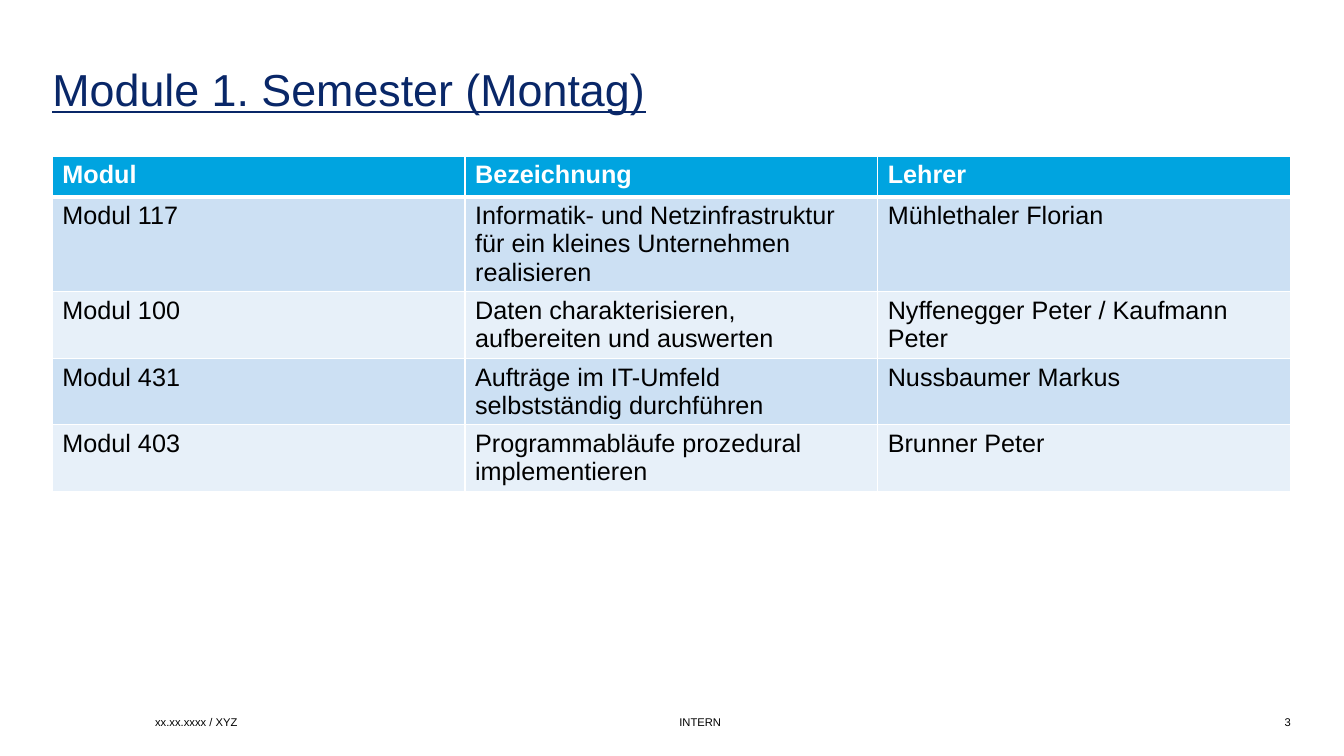
from dataclasses import dataclass

from lxml.etree import SubElement
from pptx import Presentation
from pptx.dml.color import RGBColor as Color
from pptx.enum.text import MSO_ANCHOR as Anchor, MSO_AUTO_SIZE as AutoSize, PP_ALIGN as Align
from pptx.oxml.ns import qn
from pptx.util import Cm, Pt

TITLE = "Module 1. Semester (Montag)"
HEADER = ("Modul", "Bezeichnung", "Lehrer")
MODULES = [
    ("Modul 117", "Informatik- und Netzinfrastruktur für ein kleines Unternehmen realisieren",
     "Mühlethaler Florian"),
    ("Modul 100", "Daten charakterisieren, aufbereiten und auswerten",
     "Nyffenegger Peter / Kaufmann Peter"),
    ("Modul 431", "Aufträge im IT-Umfeld selbstständig durchführen", "Nussbaumer Markus"),
    ("Modul 403", "Programmabläufe prozedural implementieren", "Brunner Peter"),
]
# text, left and width in cm, alignment
FOOTER = [
    ("xx.xx.xxxx / XYZ", 3.91, 12.83, Align.LEFT),
    ("INTERN", 17.12, 13.13, Align.LEFT),
    ("3", 30.81, 1.72, Align.RIGHT),
]


@dataclass(frozen=True)
class Theme:
    font: str = "Arial"
    title: str = "092768"
    text: str = "000000"
    white: str = "FFFFFF"
    header: str = "00A4E0"
    bands: tuple = ("CCE0F3", "E7F0F9")
    title_size: int = 32
    table_size: int = 18
    footer_size: int = 8


THEME = Theme()
LEFT, WIDTH = Cm(1.32), Cm(31.2)
TABLE_TOP, ROW_HEIGHT = Cm(3.93), Cm(1.03)
FOOTER_TOP, FOOTER_HEIGHT = Cm(17.93), Cm(0.53)


def add_span(para, text, size, color, bold=False):
    span = para.add_run()
    span.text = text
    span.font.name = THEME.font
    span.font.size = Pt(size)
    span.font.bold = bold
    span.font.color.rgb = Color.from_string(color)
    return span


def set_margins(frame, top=0):
    frame.margin_left = frame.margin_right = frame.margin_bottom = 0
    frame.margin_top = top


def add_borders(cell, bottom):
    """Draw white cell edges; they must precede the fill in the cell properties."""
    properties = cell._tc.get_or_add_tcPr()
    for edge, points in (("lnL", 1), ("lnR", 1), ("lnT", 1), ("lnB", bottom)):
        line = SubElement(properties, qn(f"a:{edge}"), w=str(Pt(points)))
        fill = SubElement(line, qn("a:solidFill"))
        SubElement(fill, qn("a:srgbClr"), val=THEME.white)


def add_title(page):
    title = page.shapes.title
    title.left, title.top, title.width, title.height = LEFT, Cm(0.53), WIDTH, Cm(2.39)
    frame = title.text_frame
    frame.auto_size = AutoSize.NONE
    frame.vertical_anchor = Anchor.BOTTOM
    set_margins(frame)
    para = frame.paragraphs[0]
    para.alignment = Align.LEFT
    para.line_spacing = Pt(THEME.title_size)
    add_span(para, TITLE, THEME.title_size, THEME.title).font.underline = True


def add_module_table(page):
    rows = [HEADER, *MODULES]
    table = page.shapes.add_table(len(rows), len(HEADER), LEFT, TABLE_TOP, WIDTH,
                                  ROW_HEIGHT * len(rows)).table
    for row_index, row in enumerate(rows):
        is_header = row_index == 0
        fill = THEME.header if is_header else THEME.bands[(row_index - 1) % 2]
        color = THEME.white if is_header else THEME.text
        for column_index, text in enumerate(row):
            cell = table.cell(row_index, column_index)
            add_borders(cell, bottom=3 if is_header else 1)
            cell.fill.solid()
            cell.fill.fore_color.rgb = Color.from_string(fill)
            add_span(cell.text_frame.paragraphs[0], text, THEME.table_size, color, is_header)


def add_footer(page):
    for text, left, width, alignment in FOOTER:
        box = page.shapes.add_textbox(Cm(left), FOOTER_TOP, Cm(width), FOOTER_HEIGHT)
        frame = box.text_frame
        frame.word_wrap = True
        set_margins(frame, top=Cm(0.1))
        para = frame.paragraphs[0]
        para.alignment = alignment
        add_span(para, text, THEME.footer_size, THEME.text)


def main():
    deck = Presentation()
    deck.slide_width, deck.slide_height = Cm(33.87), Cm(19.05)
    page = deck.slides.add_slide(deck.slide_layouts.get_by_name("Title Only"))
    add_title(page)
    add_module_table(page)
    add_footer(page)
    deck.save("out.pptx")


if __name__ == "__main__":
    main()
